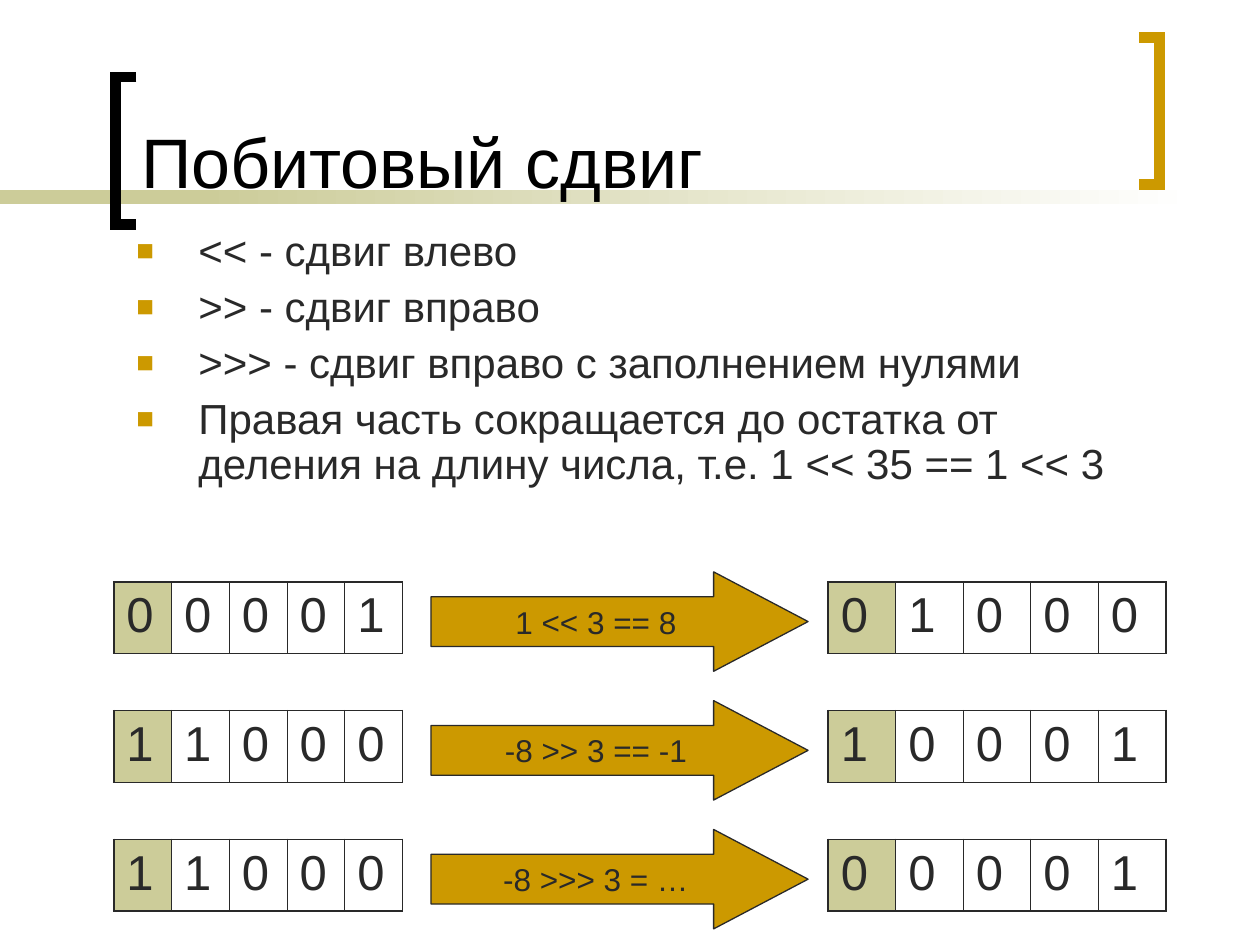
from lxml.etree import SubElement
from pptx import Presentation
from pptx.dml.color import RGBColor
from pptx.enum.shapes import MSO_SHAPE
from pptx.enum.text import MSO_ANCHOR, MSO_AUTO_SIZE, PP_ALIGN
from pptx.oxml.ns import qn
from pptx.util import Pt

COLORS = {"ink": "292929", "black": "000000", "gold": "CC9900",
          "sand": "CCCC99", "white": "FFFFFF"}
FONT = "Arial"


def color(name):
    return RGBColor.from_string(COLORS[name])


def node(parent, tag, **attrs):
    return SubElement(parent, qn(tag), attrs)


class Deck:
    def __init__(self, width, height):
        self.prs = Presentation()
        self.prs.slide_width, self.prs.slide_height = Pt(width), Pt(height)
        self.slide = self.prs.slides.add_slide(self.prs.slide_layouts[1])
        self.shapes = self.slide.shapes

    def style(self, para, size, tint="ink", align=PP_ALIGN.LEFT):
        para.font.name, para.font.size = FONT, Pt(size)
        para.font.color.rgb = color(tint)
        para.alignment = align

    def bar(self, left, width, end):
        bar = self.shapes.add_shape(MSO_SHAPE.RECTANGLE, Pt(left), Pt(108.7),
                                    Pt(width), Pt(8))
        bar.shadow.inherit = False
        bar.line.fill.background()
        bar.fill.gradient()
        bar.fill.gradient_angle = 0
        for stop, name in zip(bar.fill.gradient_stops, ("sand", end)):
            stop.color.rgb = color(name)

    def bracket(self, back, tip, top, tint):
        low = top + 84.2
        path = self.shapes.build_freeform(Pt(tip), Pt(top))
        path.add_line_segments([(Pt(back), Pt(top)), (Pt(back), Pt(low)),
                                (Pt(tip), Pt(low))], close=False)
        shape = path.convert_to_shape()
        shape.shadow.inherit = False
        shape.fill.background()
        shape.line.color.rgb = color(tint)
        shape.line.width = Pt(6)
        node(shape.line.fill._xPr, "a:miter", lim="800000")

    def place(self, holder, left, top, width, height, anchor):
        holder.left, holder.top = Pt(left), Pt(top)
        holder.width, holder.height = Pt(width), Pt(height)
        tree = holder.element.getparent()
        tree.append(holder.element)
        frame = holder.text_frame
        frame.auto_size = MSO_AUTO_SIZE.NONE
        frame.vertical_anchor = anchor
        return frame

    def title(self, text):
        frame = self.place(self.shapes.title, 73.4, 8, 564, 111.6,
                           MSO_ANCHOR.BOTTOM)
        frame.text = text
        self.style(frame.paragraphs[0], 40, "black")

    def bullets(self, lines):
        frame = self.place(self.slide.placeholders[1], 70.7, 128, 597, 165,
                           MSO_ANCHOR.TOP)
        frame.text = "\n".join(lines)
        for para in frame.paragraphs:
            self.style(para, 24)
            para.line_spacing, para.space_before = 0.9, Pt(6)
            props = para._p.get_or_add_pPr()
            props.set("marL", str(Pt(35.5)))
            props.set("indent", str(Pt(-35.5)))
            node(node(props, "a:buClr"), "a:srgbClr", val=COLORS["gold"])
            node(props, "a:buSzPct", val="70000")
            node(props, "a:buFont", typeface=FONT)
            node(props, "a:buChar", char="■")

    def border(self, cell, first, last):
        props = cell._tc.get_or_add_tcPr()
        edges = {"L": first, "R": last, "T": True, "B": True}
        for side, outer in edges.items():
            line = node(props, f"a:ln{side}", w=str(Pt(1.08 if outer else 0.45)))
            node(node(line, "a:solidFill"), "a:srgbClr", val=COLORS["ink"])

    def bits(self, digits, left, top, step):
        count = len(digits)
        table = self.shapes.add_table(1, count, Pt(left), Pt(top),
                                      Pt(step * count), Pt(41)).table
        table.first_row = table.horz_banding = False
        for i, digit in enumerate(digits):
            table.columns[i].width = Pt(step)
            cell = table.cell(0, i)
            cell.text = digit
            para = cell.text_frame.paragraphs[0]
            self.style(para, 28)
            para.space_before = Pt(7)
            self.border(cell, i == 0, i == count - 1)
            if i == 0:
                cell.fill.solid()
                cell.fill.fore_color.rgb = color("sand")
            else:
                cell.fill.background()

    def arrow(self, text, top):
        arrow = self.shapes.add_shape(MSO_SHAPE.RIGHT_ARROW, Pt(246.3), Pt(top),
                                      Pt(215.5), Pt(56.8))
        arrow.adjustments[0], arrow.adjustments[1] = 0.5, 0.95
        arrow.shadow.inherit = False
        arrow.fill.solid()
        arrow.fill.fore_color.rgb = color("gold")
        arrow.line.color.rgb = color("ink")
        arrow.line.width = Pt(0.75)
        frame = arrow.text_frame
        frame.word_wrap = False
        frame.vertical_anchor = MSO_ANCHOR.MIDDLE
        frame.text = text
        self.style(frame.paragraphs[0], 18, align=PP_ALIGN.CENTER)


def main():
    deck = Deck(720, 540)
    deck.bar(0, 168, "sand")
    deck.bar(114, 570, "white")
    deck.bracket(66, 78, 44, "black")
    deck.bracket(662.6, 650.8, 21.4, "gold")
    deck.title("Побитовый сдвиг")
    deck.bullets([
        "<< - сдвиг влево",
        ">> - сдвиг вправо",
        ">>> - сдвиг вправо с заполнением нулями",
        "Правая часть сокращается до остатка от деления на длину числа, "
        "т.е. 1 << 35 == 1 << 3",
    ])
    shifts = [("00001", "1 << 3 == 8", "01000"),
              ("11000", "-8 >> 3 == -1", "10001"),
              ("11000", "-8 >>> 3 = …", "00001")]
    for i, (before, rule, after) in enumerate(shifts):
        top = 332.5 + 73.6 * i
        deck.bits(before, 65, top, 33)
        deck.bits(after, 473.3, top, 38.6)
        deck.arrow(rule, top - 5.7)
    deck.prs.save("out.pptx")


if __name__ == "__main__":
    main()
